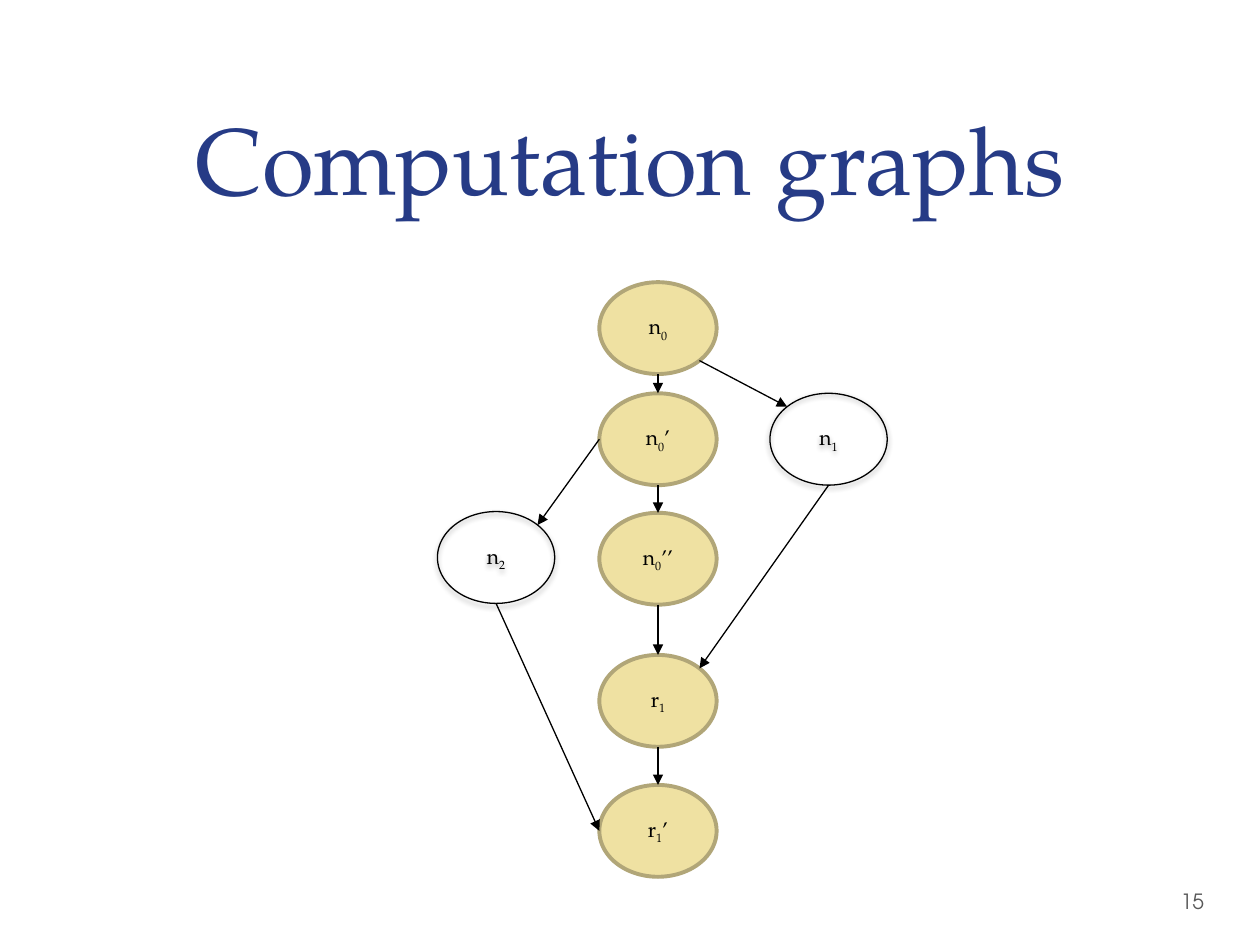
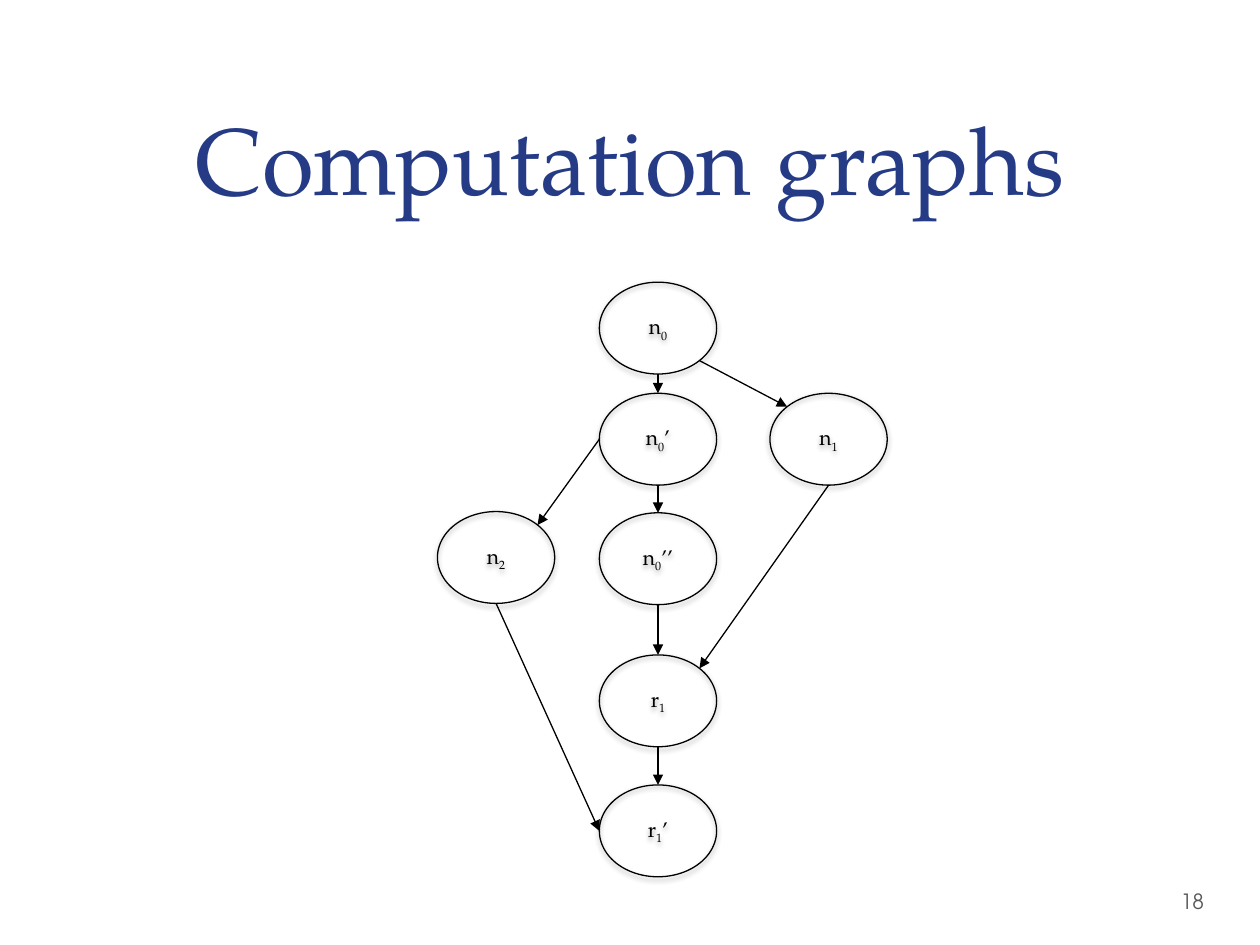
import pptx
import pptx.util
import pptx.dml.color
import pptx.enum.shapes
import pptx.enum.text
import pptx.oxml
import pptx.oxml.ns

Pt = pptx.util.Pt
RGB = pptx.dml.color.RGBColor
ALIGN = pptx.enum.text.PP_ALIGN
ANCHOR = pptx.enum.text.MSO_ANCHOR

# Content
TITLE = "Computation graphs"
NODES = {  # key: letter, subscript, primes, centre x, centre y
    "n0": ("n", "0", "", 376, 187.5),
    "n0'": ("n", "0", "’", 376, 251),
    "n0''": ("n", "0", "’’", 376, 319.3),
    "r1": ("r", "1", "", 376, 400.5),
    "r1'": ("r", "1", "’", 376, 474.8),
    "n2": ("n", "2", "", 283.5, 318.6),
    "n1": ("n", "1", "", 473.5, 251),
}
EDGES = [  # from, side, to, side
    ("n0", "S", "n0'", "N"),
    ("n0'", "S", "n0''", "N"),
    ("n0''", "S", "r1", "N"),
    ("r1", "S", "r1'", "N"),
    ("n0", "SE", "n1", "NW"),
    ("n1", "S", "r1", "NE"),
    ("n0'", "W", "n2", "NE"),
    ("n2", "S", "r1'", "W"),
]
SLIDES = [  # page number, highlighted nodes
    ("15", {"n0", "n0'", "n0''", "r1", "r1'"}),
    ("18", set()),
]

# Style
SERIF, SANS = "TeX Gyre Pagella", "TeX Gyre Adventor"
BLUE = RGB(0x26, 0x3B, 0x86)
GRAY = RGB(0x59, 0x59, 0x59)
BLACK = RGB(0, 0, 0)
SAND = RGB(0xEF, 0xE1, 0xA2)
OLIVE = RGB(0xB1, 0xA6, 0x78)
WIDE, HIGH = 67, 52.5
DIAG = 0.5 ** 0.5
SIDES = {"N": (0, -1), "S": (0, 1), "W": (-1, 0),
         "NE": (DIAG, -DIAG), "NW": (-DIAG, -DIAG), "SE": (DIAG, DIAG)}
NS = pptx.oxml.ns.nsdecls("a")
SHADOW = (f'<a:effectLst {NS}><a:outerShdw blurRad="{Pt(3.1)}" dist="{Pt(1.6)}"'
          ' dir="5400000" rotWithShape="0"><a:srgbClr val="000000">'
          '<a:alpha val="38000"/></a:srgbClr></a:outerShdw></a:effectLst>')
PLAIN = f"<a:effectLst {NS}/>"
HEAD = f'<a:tailEnd {NS} type="triangle"/>'


def add_xml(parent, xml):
    parent.append(pptx.oxml.parse_xml(xml))


def set_font(font, name, size, color):
    font.name, font.size = name, Pt(size)
    font.color.rgb = color


def add_text(slide, box, text, name, size, color, anchor):
    frame = slide.shapes.add_textbox(*map(Pt, box)).text_frame
    frame.word_wrap = True
    frame.vertical_anchor = anchor
    frame.text = text
    set_font(frame.paragraphs[0].runs[0].font, name, size, color)
    return frame


def add_frame(slide, number):
    """Title and page number."""
    para = add_text(slide, (36, 0, 648, 126), TITLE, SERIF, 54, BLUE,
                    ANCHOR.BOTTOM).paragraphs[0]
    para.alignment = ALIGN.CENTER
    para.line_spacing = Pt(58)
    page = add_text(slide, (672.5, 500.4, 44, 28.8), number, SANS, 12, GRAY,
                    ANCHOR.MIDDLE)
    page.margin_left = Pt(2.2)


def add_node(slide, key, marked):
    letter, sub, primes, x, y = NODES[key]
    box = (x - WIDE / 2, y - HIGH / 2, WIDE, HIGH)
    node = slide.shapes.add_shape(pptx.enum.shapes.MSO_SHAPE.OVAL, *map(Pt, box))
    node.line.color.rgb = OLIVE if marked else BLACK
    node.line.width = Pt(2.25 if marked else 0.75)
    if marked:
        node.fill.solid()
        node.fill.fore_color.rgb = SAND
        node.shadow.inherit = False
    else:
        node.fill.background()
        add_xml(node._element.spPr, SHADOW)

    # Label with subscript
    node.text_frame.vertical_anchor = ANCHOR.MIDDLE
    para = node.text_frame.paragraphs[0]
    para.alignment = ALIGN.CENTER
    for part in filter(None, (letter, sub, primes)):
        run = para.add_run()
        run.text = part
        set_font(run.font, SERIF, 12, BLACK)
        if part == sub:
            run._r.get_or_add_rPr().set("baseline", "-25000")


def find_point(key, side):
    x, y = NODES[key][3:]
    dx, dy = SIDES[side]
    return Pt(x + dx * WIDE / 2), Pt(y + dy * HIGH / 2)


def add_edge(slide, start, out, end, into):
    edge = slide.shapes.add_connector(
        pptx.enum.shapes.MSO_CONNECTOR.STRAIGHT,
        *find_point(start, out), *find_point(end, into))
    edge.line.color.rgb = BLACK
    edge.line.width = Pt(0.75)
    add_xml(edge.line._get_or_add_ln(), HEAD)
    add_xml(edge._element.spPr, PLAIN)


def main():
    deck = pptx.Presentation()
    deck.slide_width, deck.slide_height = Pt(720), Pt(540)
    for number, marked in SLIDES:
        slide = deck.slides.add_slide(deck.slide_layouts[6])
        add_frame(slide, number)
        for key in NODES:
            add_node(slide, key, key in marked)
        for edge in EDGES:
            add_edge(slide, *edge)
    deck.save("out.pptx")


if __name__ == "__main__":
    main()
